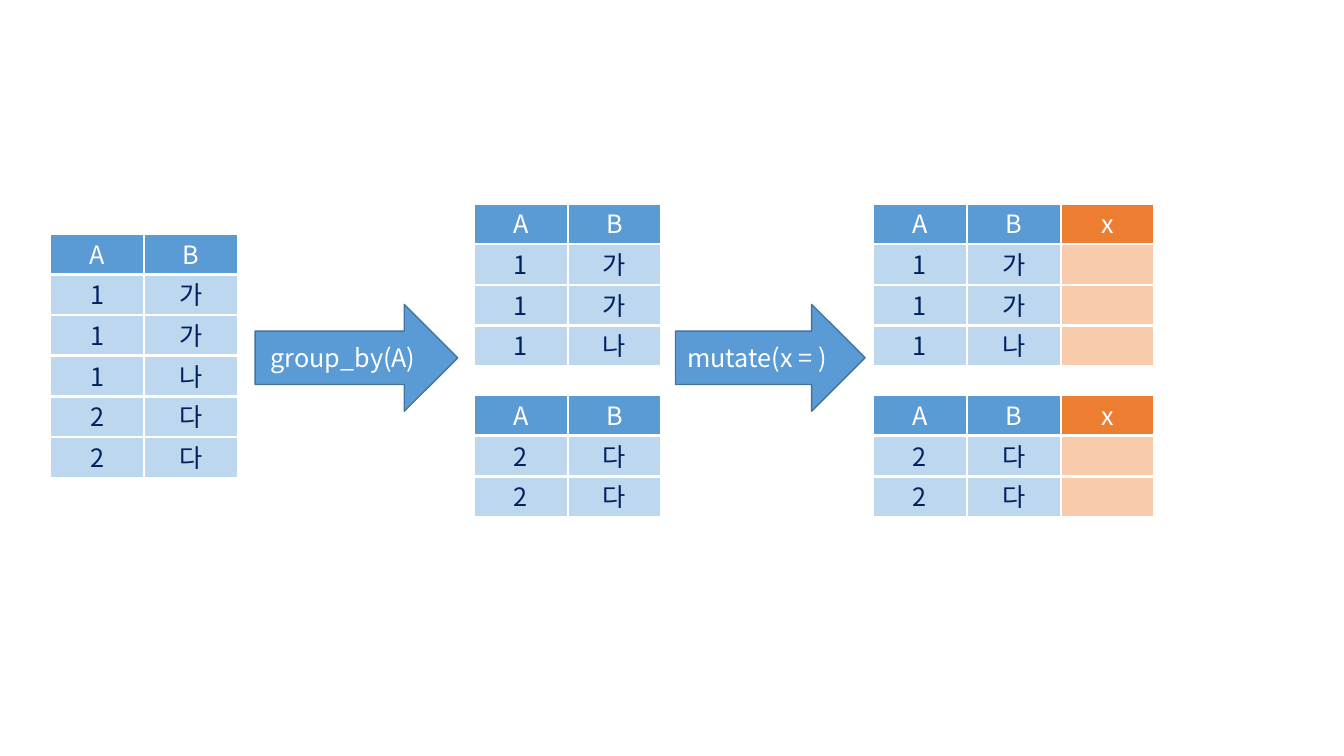
"""Builds a slide showing how group_by and mutate transform a table."""
from lxml import etree
from pptx import Presentation
from pptx.dml.color import RGBColor
from pptx.enum.shapes import MSO_SHAPE
from pptx.enum.text import MSO_ANCHOR, PP_ALIGN
from pptx.oxml.ns import qn
from pptx.util import Inches, Pt

RECTANGLE = MSO_SHAPE.RECTANGLE
RIGHT_ARROW = MSO_SHAPE.RIGHT_ARROW
CENTER = PP_ALIGN.CENTER
MIDDLE = MSO_ANCHOR.MIDDLE

FONT = "Noto Sans CJK KR"
COLORS = {
    "white": "FFFFFF",
    "header": "5B9BD5",
    "body": "BDD7EE",
    "new_header": "ED7D31",
    "new_body": "F8CBAD",
    "arrow_edge": "43739E",
    "value": "002060",
}
CELL_WIDTH = 0.93
CELL_HEIGHT = 0.4
ROW_PITCH = 2.02 / 5
BLANK_LAYOUT = 6

GROUP_ONE = [("1", "가"), ("1", "가"), ("1", "나")]
GROUP_TWO = [("2", "다"), ("2", "다")]


def rgb(name):
    """Return the named colour."""
    return RGBColor.from_string(COLORS[name])


def add_block(slide, kind, bounds, fill, edge, edge_width):
    """Add a filled and outlined shape without a shadow."""
    block = slide.shapes.add_shape(kind, *(Inches(n) for n in bounds))
    block.shadow.inherit = False
    block.fill.solid()
    block.fill.fore_color.rgb = rgb(fill)
    block.line.color.rgb = rgb(edge)
    block.line.width = Pt(edge_width)
    return block


def write_label(block, text, color, spacing=0):
    """Write centred text with its font, colour and letter spacing."""
    frame = block.text_frame
    frame.text = text
    frame.word_wrap = True
    frame.vertical_anchor = MIDDLE
    paragraph = frame.paragraphs[0]
    paragraph.alignment = CENTER
    for run in paragraph.runs:
        run.font.size = Pt(18)
        run.font.name = FONT
        run.font.color.rgb = rgb(color)
        properties = run.font._element
        etree.SubElement(properties, qn("a:ea"), typeface=FONT)
        if spacing:
            properties.set("spc", str(round(spacing * 100)))


def add_column(slide, left, top, heading, values):
    """Add a heading cell with its value cells below it."""
    prefix = "new_" if heading == "x" else ""
    for row, text in enumerate([heading, *values]):
        is_header = row == 0
        cell = add_block(
            slide, RECTANGLE,
            (left, top + row * ROW_PITCH, CELL_WIDTH, CELL_HEIGHT),
            prefix + ("header" if is_header else "body"), "white", 1.5)
        if text:
            write_label(cell, text, "white" if is_header else "value",
                        -1.5 if text in ("B", "x") else 0)


def add_data_grid(slide, left, top, headings, records):
    """Add a grid of cells, one column for each heading."""
    for index, values in enumerate(zip(*records)):
        add_column(slide, left + index * CELL_WIDTH, top,
                   headings[index], values)


def add_step_arrow(slide, left, width, label):
    """Add an arrow labelled with the function it applies."""
    arrow = add_block(slide, RIGHT_ARROW, (left, 3.02, width, 1.06),
                      "header", "arrow_edge", 1)
    write_label(arrow, label, "white")
    arrow.text_frame.word_wrap = False


def main():
    """Build and save the slide."""
    presentation = Presentation()
    presentation.slide_width = Inches(13.33)
    presentation.slide_height = Inches(7.5)
    slide = presentation.slides.add_slide(
        presentation.slide_layouts[BLANK_LAYOUT])

    add_data_grid(slide, 0.5, 2.32, "AB", GROUP_ONE + GROUP_TWO)
    add_step_arrow(slide, 2.53, 2.01, "group_by(A)")
    add_step_arrow(slide, 6.7, 1.88, "mutate(x = )")
    for top, group in ((2.02, GROUP_ONE), (3.92, GROUP_TWO)):
        add_data_grid(slide, 4.7, top, "AB", group)
        extended = [(*record, "") for record in group]
        add_data_grid(slide, 8.66, top, "ABx", extended)

    presentation.save("out.pptx")


if __name__ == "__main__":
    main()
